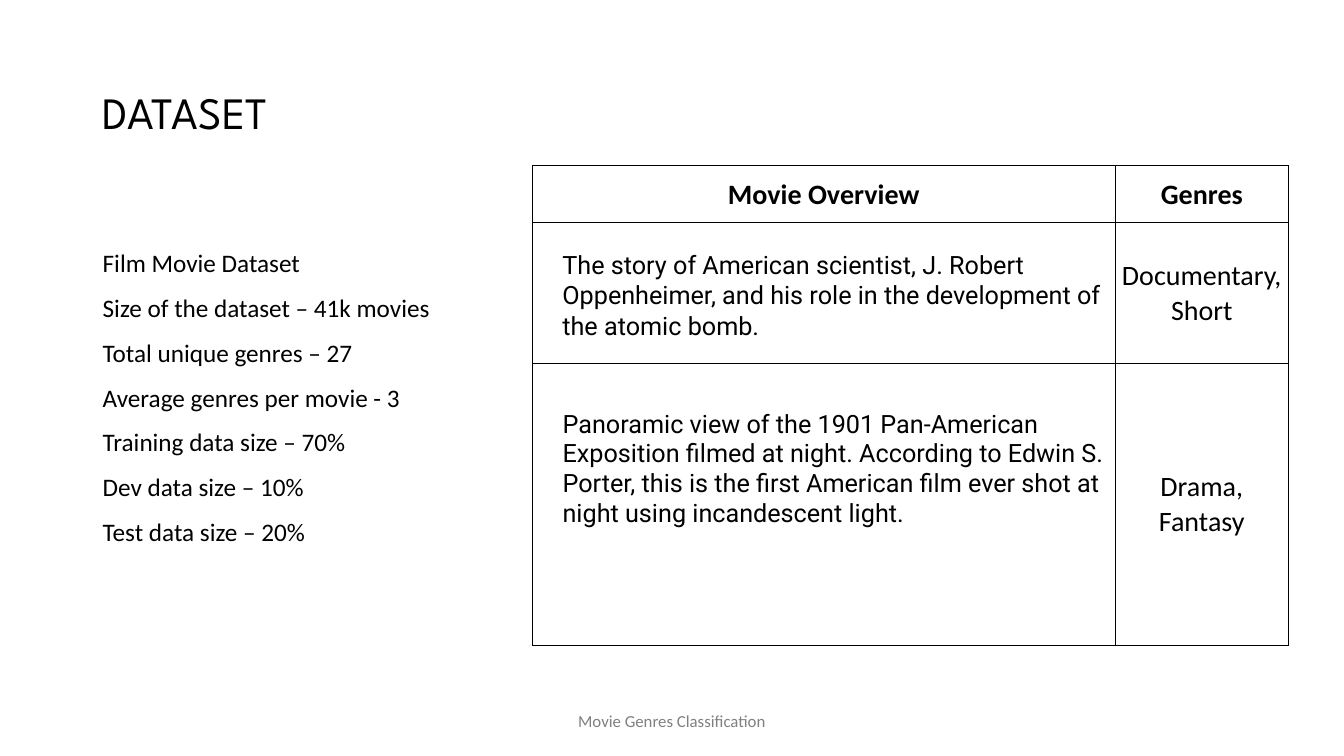
from lxml import etree
from pptx import Presentation
from pptx import util as u
from pptx.dml.color import RGBColor
from pptx.enum import text
from pptx.oxml.ns import qn

WIDE, HIGH = 13.33, 7.5
LEFT = 0.92
INK, GREY = "000000", "808080"
TITLE = "DATASET"
FACTS = [
    "Film Movie Dataset",
    "Size of the dataset – 41k movies",
    "Total unique genres – 27",
    "Average genres per movie - 3",
    "Training data size – 70%",
    "Dev data size – 10%",
    "Test data size – 20%",
]
FOOTER = "Movie Genres Classification"
STORY = ("The story of American scientist, J. Robert Oppenheimer, and his role "
         "in the development of the atomic bomb.")
VIEW = ("Panoramic view of the 1901 Pan-American Exposition filmed at night. "
        "According to Edwin S. Porter, this is the first American film ever shot "
        "at night using incandescent light.")
ROWS = [
    ("Movie Overview", "Genres"),
    ("", "Documentary, Short"),
    (VIEW, "Drama, Fantasy"),
]
COLS, TALL = (5.78, 1.72), (0.57, 1.39, 2.8)
GRID = (5.28, 1.64)

MID = text.MSO_ANCHOR.MIDDLE
TOP = text.MSO_ANCHOR.TOP
CENTER, START = text.PP_ALIGN.CENTER, text.PP_ALIGN.LEFT


def color(value):
    return RGBColor.from_string(value)


def place(shape, *spot):
    for name, size in zip(("left", "top", "width", "height"), spot):
        setattr(shape, name, u.Inches(size))


def write(frame, lines, size, face="Calibri", ink=INK, bold=False,
          align=START, anchor=MID, **form):
    """Fill a text frame; form holds extra paragraph settings."""
    frame.word_wrap = True
    frame.vertical_anchor = anchor
    for i, line in enumerate(lines):
        para = frame.add_paragraph() if i else frame.paragraphs[0]
        para.alignment = align
        for name, value in form.items():
            if i or name != "space_before":
                setattr(para, name, value)
        run = para.add_run()
        run.text = line
        run.font.color.rgb = color(ink)
        looks = {"size": u.Pt(size), "name": face, "bold": bold}
        for name, value in looks.items():
            setattr(run.font, name, value)


def add_text(slide, spot, lines, size, **form):
    box = slide.shapes.add_textbox(0, 0, 0, 0)
    place(box, *spot)
    write(box.text_frame, lines, size, **form)
    return box


def border(cell):
    props = cell._tc.get_or_add_tcPr()
    for side in ("lnL", "lnR", "lnT", "lnB"):
        line = etree.SubElement(props, qn("a:" + side), w=str(u.Pt(0.5)))
        fill = etree.SubElement(line, qn("a:solidFill"))
        etree.SubElement(fill, qn("a:srgbClr"), val=INK)


def add_grid(slide):
    spot = (*GRID, sum(COLS), sum(TALL))
    frame = slide.shapes.add_table(len(ROWS), len(COLS), *map(u.Inches, spot))
    table = frame.table
    table.first_row = table.horz_banding = False
    for col, wide in zip(table.columns, COLS):
        col.width = u.Inches(wide)
    for r, (row, tall) in enumerate(zip(ROWS, TALL)):
        table.rows[r].height = u.Inches(tall)
        for c, words in enumerate(row):
            cell = table.cell(r, c)
            border(cell)
            cell.fill.background()
            for side in ("left", "right", "top"):
                setattr(cell, "margin_" + side, u.Inches(0.01))
            cell.margin_bottom = 0
            cell.vertical_anchor = MID
            if words == VIEW:
                cell.margin_bottom = u.Inches(0.7)
                write(cell.text_frame, [words], 18, face="Roboto")
                props = cell.text_frame.paragraphs[0]._p.get_or_add_pPr()
                props.set("marL", str(u.Inches(0.29)))
                props.set("indent", "0")
            elif words:
                write(cell.text_frame, [words], 20, bold=r == 0, align=CENTER)
            cell.vertical_anchor = MID


def main():
    deck = Presentation()
    deck.slide_width, deck.slide_height = u.Inches(WIDE), u.Inches(HIGH)
    slide = deck.slides.add_slide(deck.slide_layouts[5])

    title = slide.shapes.title
    place(title, LEFT, 0.42, 5, 1.45)
    write(title.text_frame, [TITLE], 32, face="League Spartan", line_spacing=0.9)
    run = title.text_frame.paragraphs[0].runs[0]
    run.font._element.set("spc", "30")

    facts = add_text(slide, (LEFT, 1.96, 4.11, 4.56), FACTS, 18, anchor=TOP,
                     line_spacing=u.Pt(22), space_before=u.Pt(10))
    facts.text_frame.margin_top = u.Inches(0.49)
    add_text(slide, ((WIDE - 4.5) / 2, 6.95, 4.5, 0.4), [FOOTER], 12,
             ink=GREY, align=CENTER)
    add_grid(slide)
    add_text(slide, (GRID[0] + 0.2, 2.42, 5.54, 1.01), [STORY], 18, face="Roboto")
    deck.save("out.pptx")


if __name__ == "__main__":
    main()
